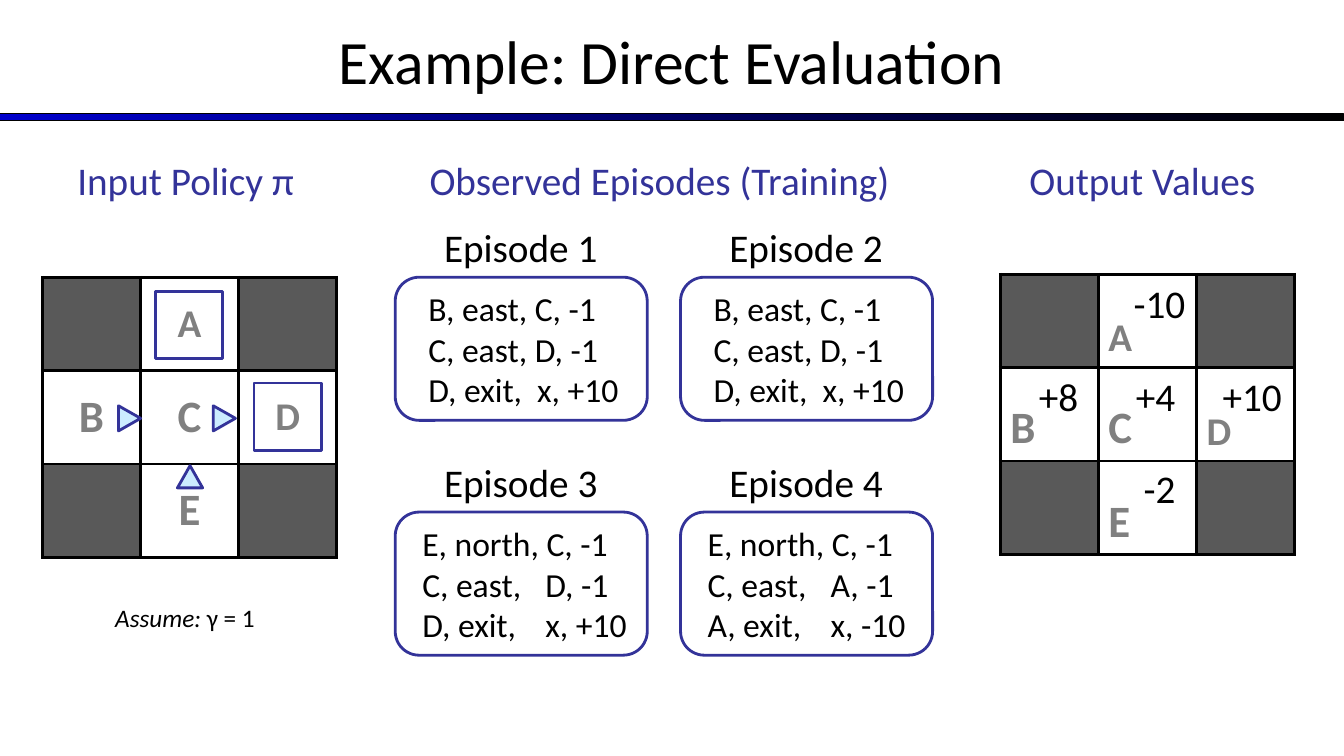
"""Builds the Direct Evaluation example slide."""
from lxml.etree import SubElement
from pptx import Presentation
from pptx.dml.color import RGBColor
from pptx.enum.shapes import MSO_SHAPE as Shape
from pptx.enum.text import MSO_ANCHOR as Anchor, PP_ALIGN as Align
from pptx.oxml.ns import qn
from pptx.util import Inches, Pt

COLORS = {"blue": "333399", "sky": "CCECFF", "wall": "595959", "grey": "808080",
          "bar": "0000CC", "black": "000000", "white": "FFFFFF"}


class SlideBuilder:
    def __init__(self, prs, font="Calibri"):
        self.font = font
        self.s = prs.slides.add_slide(prs.slide_layouts[6])

    def color(self, name):
        return RGBColor.from_string(COLORS[name])

    def style(self, r, size, color="black", bold=False, italic=False):
        r.font.name, r.font.size = self.font, Pt(size)
        r.font.bold, r.font.italic = bold, italic
        r.font.color.rgb = self.color(color)

    def text(self, box, text, size, color="black", align=Align.CENTER,
             anchor=Anchor.TOP, tab=None):
        tf = self.s.shapes.add_textbox(*map(Inches, box)).text_frame
        tf.word_wrap = True
        tf.vertical_anchor = anchor
        tf.text = text
        for p in tf.paragraphs:
            p.alignment = align
            if tab:
                tabs = SubElement(p._p.get_or_add_pPr(), qn("a:tabLst"))
                SubElement(tabs, qn("a:tab"), pos=str(Inches(tab)), algn="l")
            for r in p.runs:
                self.style(r, size, color)
        return tf

    def shape(self, kind, box, fill=None, line="blue", width=2, rotation=0):
        sp = self.s.shapes.add_shape(kind, *map(Inches, box))
        sp.shadow.inherit = False
        sp.rotation = rotation
        sp.line.color.rgb = self.color(line)
        sp.line.width = Pt(width)
        if fill:
            sp.fill.solid()
            sp.fill.fore_color.rgb = self.color(fill)
        else:
            sp.fill.background()
        return sp

    def gradient_bar(self, box, start, end):
        fill = self.shape(Shape.RECTANGLE, box, line="black", width=0.75).fill
        fill.gradient()
        fill.gradient_angle = 0
        for stop, name in zip(fill.gradient_stops, (start, end)):
            stop.color.rgb = self.color(name)

    def border(self, cell, width=2.25):
        tcPr = cell._tc.get_or_add_tcPr()
        for side in ("a:lnL", "a:lnR", "a:lnT", "a:lnB"):
            ln = SubElement(tcPr, qn(side), w=str(Pt(width)))
            fill = SubElement(ln, qn("a:solidFill"))
            SubElement(fill, qn("a:srgbClr"), val=COLORS["black"])

    def grid(self, box, rows, align, anchor):
        table = self.s.shapes.add_table(len(rows), len(rows[0]), *map(Inches, box)).table
        table.first_row = table.horz_banding = False
        for i, row in enumerate(rows):
            for j, state in enumerate(row):
                cell = table.cell(i, j)
                self.border(cell)
                cell.fill.solid()
                cell.fill.fore_color.rgb = self.color("wall" if state == " " else "white")
                if state != " ":
                    cell.text = state
                    cell.vertical_anchor = anchor
                    p = cell.text_frame.paragraphs[0]
                    p.alignment = align
                    self.style(p.runs[0], 28 if state in "AD" else 32, "grey", bold=True)

    def episode(self, number, left, top, steps, inset, tab):
        self.text((left + 0.33, top - 0.58, 1.83, 0.57), f"Episode {number}", 28)
        self.shape(Shape.ROUNDED_RECTANGLE, (left, top, 2.5, 1.42))
        self.text((left + inset, top + 0.06, 2.5 - inset, 1.31), "\n".join(steps), 24,
                  align=Align.LEFT, tab=tab)


def main():
    prs = Presentation()
    prs.slide_width, prs.slide_height = Inches(13.33), Inches(7.5)
    slide = SlideBuilder(prs)

    slide.gradient_bar((0, 1.13, 13.33, 0.07), "bar", "black")
    slide.text((0, -0.03, 13.33, 1.25), "Example: Direct Evaluation", 44,
               anchor=Anchor.MIDDLE)
    for heading, left, width in (("Input Policy π", 0.55, 2.58),
                                 ("Observed Episodes (Training)", 4.08, 4.92),
                                 ("Output Values", 9.83, 3)):
        slide.text((left, 1.5, width, 0.57), heading, 28, "blue")

    states = (" A ", "BCD", " E ")
    slide.grid((0.42, 2.75, 2.92, 2.78), states, Align.CENTER, Anchor.MIDDLE)
    for left, top in ((2.52, 3.8), (1.54, 2.89)):
        slide.shape(Shape.RECTANGLE, (left, top, 0.67, 0.67))
    for left, top, rotation in ((1.16, 4.04, 90), (2.1, 4.04, 90), (1.76, 4.62, 0)):
        slide.shape(Shape.ISOSCELES_TRIANGLE, (left, top, 0.25, 0.22), "sky",
                    rotation=rotation)
    p = slide.text((0.5, 5.93, 2.67, 0.4), "Assume: ", 18).paragraphs[0]
    p.runs[0].font.italic = True
    r = p.add_run()
    r.text = "γ = 1"
    slide.style(r, 18)

    east = ("B, east, C, -1", "C, east, D, -1", "D, exit,\tx, +10")
    north_d = ("E, north, C, -1", "C, east,\tD, -1", "D, exit,\tx, +10")
    north_a = ("E, north, C, -1", "C, east,\tA, -1", "A, exit,\tx, -10")
    for i, steps in enumerate((east, east, north_d, north_a)):
        row, col = divmod(i, 2)
        inset, tab = ((0.23, 1.08), (0.17, 1.22))[row]
        slide.episode(i + 1, 3.92 + 2.83 * col, 2.75 + 2.33 * row, steps, inset, tab)

    slide.grid((9.92, 2.72, 2.92, 2.78), states, Align.LEFT, Anchor.BOTTOM)
    for value, left, top in (("+8", 10, 3.64), ("+4", 10.96, 3.64), ("+10", 11.92, 3.64),
                             ("-10", 11, 2.72), ("-2", 11, 4.56)):
        slide.text((left, top, 1, 0.57), value, 28)

    prs.save("out.pptx")


if __name__ == "__main__":
    main()
